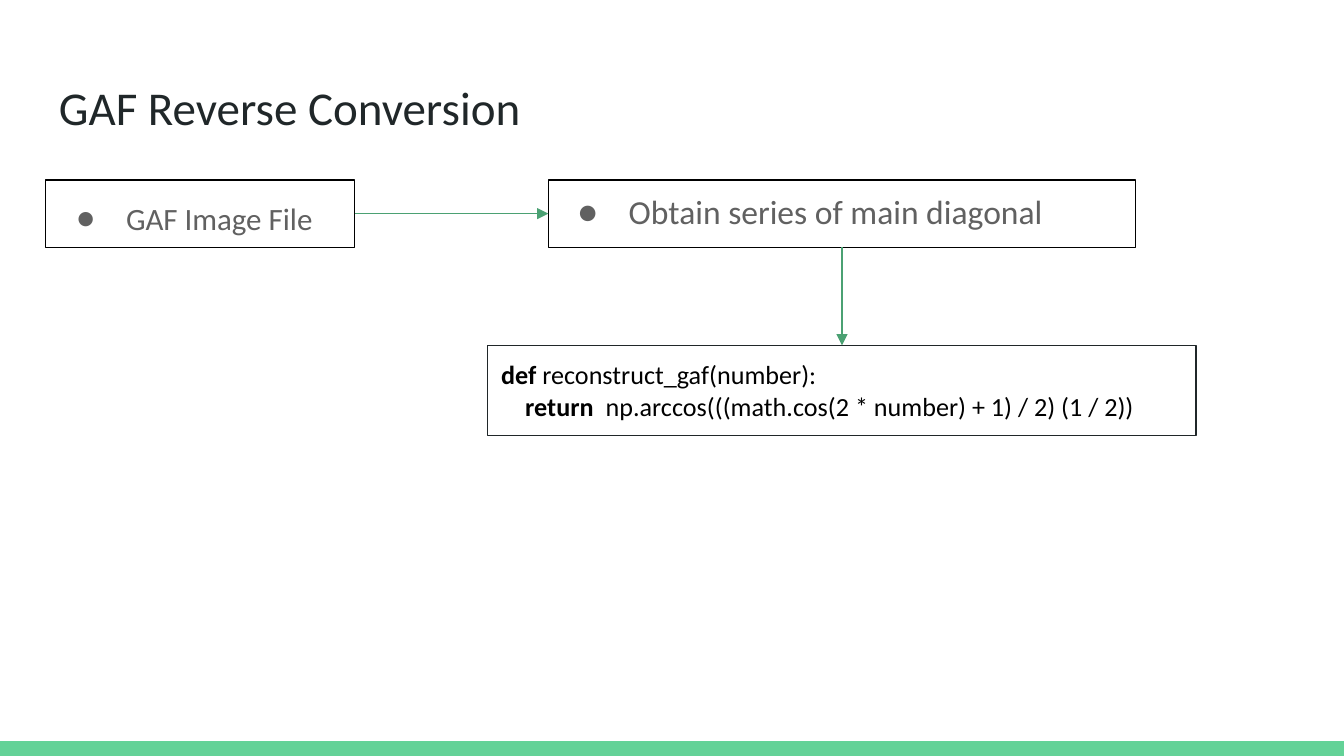
from lxml import etree
from pptx import Presentation
from pptx.dml.color import RGBColor
from pptx.enum.shapes import MSO_CONNECTOR, MSO_SHAPE
from pptx.enum.text import MSO_ANCHOR, PP_ALIGN
from pptx.oxml.ns import qn
from pptx.util import Inches, Pt

RECT = MSO_SHAPE.RECTANGLE
STRAIGHT = MSO_CONNECTOR.STRAIGHT
TOP, LEFT = MSO_ANCHOR.TOP, PP_ALIGN.LEFT
COLORS = {"bar": "63D297", "ink": "202729", "black": "000000",
          "grey": "616161", "arrow": "4BA173"}
FONT = "Calibri"
COLS, ROWS = 100, 56.25
WIDTH = Inches(10)
HEIGHT = WIDTH * 9 // 16
SIDE_TOP, SIDE_LEFT, SIDE_BOTTOM, SIDE_RIGHT = range(4)


def rgb(name):
    return RGBColor.from_string(COLORS[name])


class FlowSlide:
    """Places elements on a grid of COLS by ROWS cells."""

    def __init__(self, prs):
        self.s = prs.slides.add_slide(prs.slide_layouts[6])

    def cells(self, col, row, cols, rows):
        return [round(v) for v in (col * WIDTH / COLS, row * HEIGHT / ROWS,
                                   cols * WIDTH / COLS, rows * HEIGHT / ROWS)]

    def frame(self, sp):
        tf = sp.text_frame
        tf.word_wrap = True
        tf.vertical_anchor = TOP
        tf.margin_left = tf.margin_right = Inches(0.1)
        tf.margin_top = tf.margin_bottom = Inches(0.1)
        return tf

    def style(self, p, size, color):
        p.alignment = LEFT
        p.font.name, p.font.size = FONT, Pt(size)
        p.font.color.rgb = rgb(color)

    def box(self, area, fill=None, line=None):
        sp = self.s.shapes.add_shape(RECT, *self.cells(*area))
        sp.shadow.inherit = False
        if fill:
            sp.fill.solid()
            sp.fill.fore_color.rgb = rgb(fill)
        else:
            sp.fill.background()
        if line:
            sp.line.color.rgb = rgb(line)
            sp.line.width = Pt(0.75)
        else:
            sp.line.fill.background()
        return sp

    def title(self, area, text):
        p = self.frame(self.s.shapes.add_textbox(*self.cells(*area))).paragraphs[0]
        p.text = text
        self.style(p, 25.2, "ink")

    def bullet_box(self, area, text, size, spacing, hang):
        sp = self.box(area, line="black")
        p = self.frame(sp).paragraphs[0]
        p.text = text
        p.line_spacing = spacing
        self.style(p, size, "grey")
        pPr = p._p.get_or_add_pPr()
        pPr.set("marL", str(Inches(0.5)))
        pPr.set("indent", str(-Inches(hang)))
        font_props = pPr.find(qn("a:defRPr"))
        font_props.addprevious(etree.Element(qn("a:buFont"), typeface=FONT))
        font_props.addprevious(etree.Element(qn("a:buChar"), char="●"))
        return sp

    def code_box(self, area, lines):
        sp = self.box(area, line="ink")
        tf = self.frame(sp)
        for i, (indent, keyword, rest) in enumerate(lines):
            p = tf.paragraphs[0] if i == 0 else tf.add_paragraph()
            self.style(p, 14, "black")
            p._p.get_or_add_pPr().set("marL", str(Inches(indent)))
            for text, bold in ((keyword, True), (rest, False)):
                r = p.add_run()
                r.text, r.font.bold = text, bold
        return sp

    def arrow(self, start, start_side, end, end_side):
        c = self.s.shapes.add_connector(STRAIGHT, 0, 0, 0, 0)
        c.begin_connect(start, start_side)
        c.end_connect(end, end_side)
        c.line.color.rgb = rgb("arrow")
        c.line.width = Pt(0.75)
        etree.SubElement(c.line._get_or_add_ln(), qn("a:tailEnd"), type="triangle")
        etree.SubElement(c._element.spPr, qn("a:effectLst"))


def main():
    prs = Presentation()
    prs.slide_width, prs.slide_height = WIDTH, HEIGHT
    slide = FlowSlide(prs)

    # Footer bar and title
    slide.box((0, ROWS - 1.1, COLS, 1.1), fill="bar")
    slide.title((3.4, 4.85, 93.2, 6.3), "GAF Reverse Conversion")

    # Steps
    source = slide.bullet_box((3.4, 13.4, 23, 5), "GAF Image File", 16.6, 1.15, 0.37)
    series = slide.bullet_box((40.8, 13.4, 43.7, 5),
                              "Obtain series of main diagonal", 18, 0.95, 0.38)
    code = slide.code_box((36.3, 25.7, 52.7, 6.7), [
        (0, "def ", "reconstruct_gaf(number):"),
        (0.18, "return ", " np.arccos(((math.cos(2 * number) + 1) / 2) (1 / 2))"),
    ])

    # Flow
    slide.arrow(source, SIDE_RIGHT, series, SIDE_LEFT)
    slide.arrow(series, SIDE_BOTTOM, code, SIDE_TOP)

    prs.save("out.pptx")


if __name__ == "__main__":
    main()
